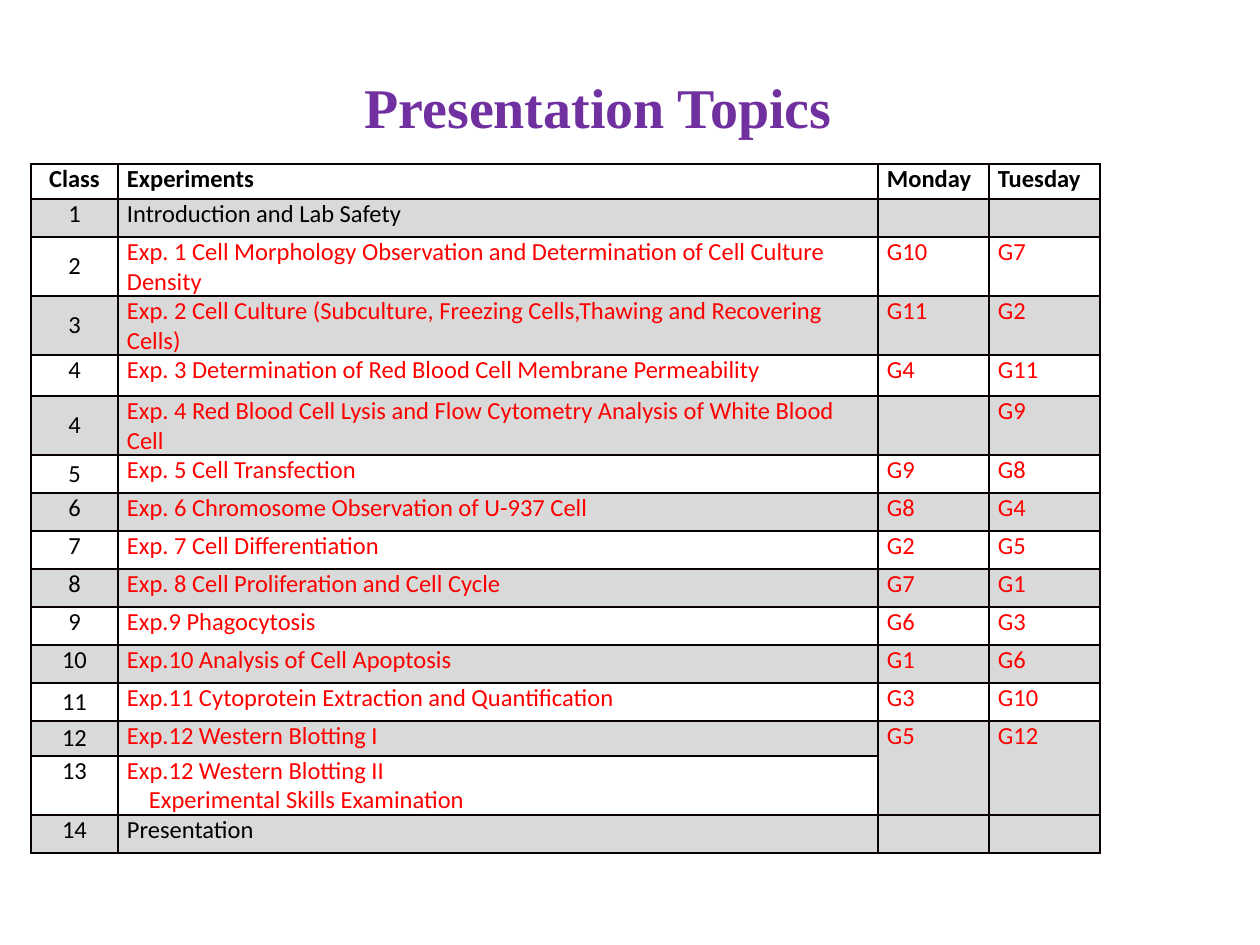
"""Build the presentation topics slide with its class schedule table."""
from dataclasses import dataclass

from lxml import etree
from pptx import Presentation
from pptx.dml.color import RGBColor
from pptx.enum.text import MSO_ANCHOR, PP_ALIGN
from pptx.oxml.ns import qn
from pptx.util import Emu, Pt

CENTER, LEFT = PP_ALIGN.CENTER, PP_ALIGN.LEFT
TOP, MIDDLE = MSO_ANCHOR.TOP, MSO_ANCHOR.MIDDLE
PURPLE = RGBColor(0x70, 0x30, 0xA0)
BLACK = RGBColor(0x00, 0x00, 0x00)
RED = RGBColor(0xFF, 0x00, 0x00)
WHITE = RGBColor(0xFF, 0xFF, 0xFF)
GREY = RGBColor(0xD9, 0xD9, 0xD9)
BORDER = RGBColor(0x08, 0x00, 0x00)
PIXELS_PER_INCH = 126
COLUMN_WIDTHS = (87, 760, 111, 111)
CELL_INSET = 9
SECOND_LINE_INDENT = 22


@dataclass(frozen=True)
class Session:
    """One table row: its texts, height, text colour and number anchor."""
    number: str
    topic: str
    monday: str = ""
    tuesday: str = ""
    height: int = 38
    color: RGBColor = RED
    anchor: MSO_ANCHOR = TOP
    bold: bool = False


SESSIONS = (
    Session("Class", "Experiments", "Monday", "Tuesday", 35, BLACK, bold=True),
    Session("1", "Introduction and Lab Safety", color=BLACK),
    Session("2", "Exp. 1 Cell Morphology Observation and Determination of Cell Culture Density",
            "G10", "G7", 59, anchor=MIDDLE),
    Session("3", "Exp. 2 Cell Culture (Subculture, Freezing Cells,Thawing and Recovering Cells)",
            "G11", "G2", 59, anchor=MIDDLE),
    Session("4", "Exp. 3 Determination of Red Blood Cell Membrane Permeability", "G4", "G11", 41),
    Session("4", "Exp. 4 Red Blood Cell Lysis and Flow Cytometry Analysis of White Blood Cell",
            "", "G9", 59, anchor=MIDDLE),
    Session("5", "Exp. 5 Cell Transfection", "G9", "G8", anchor=MIDDLE),
    Session("6", "Exp. 6 Chromosome Observation of U-937 Cell", "G8", "G4"),
    Session("7", "Exp. 7 Cell Differentiation", "G2", "G5"),
    Session("8", "Exp. 8 Cell Proliferation and Cell Cycle", "G7", "G1"),
    Session("9", "Exp.9 Phagocytosis", "G6", "G3"),
    Session("10", "Exp.10 Analysis of Cell Apoptosis", "G1", "G6"),
    Session("11", "Exp.11 Cytoprotein Extraction and Quantification", "G3", "G10", anchor=MIDDLE),
    Session("12", "Exp.12 Western Blotting I", "G5", "G12", 35, anchor=MIDDLE),
    Session("13", "Exp.12 Western Blotting II\nExperimental Skills Examination", height=59),
    Session("14", "Presentation", color=BLACK),
)
MERGED_ROW = 13


def px(length: int) -> Emu:
    """Turn pixels into EMU."""
    return Emu(round(length * 914400 / PIXELS_PER_INCH))


def add_span(para, text: str, font: str, size: int, color: RGBColor, bold: bool) -> None:
    """Add one formatted run to a paragraph."""
    span = para.add_run()
    span.text = text
    span.font.name = font
    span.font.size = Pt(size)
    span.font.bold = bold
    span.font.color.rgb = color


def add_borders(cell) -> None:
    """Draw a one-point line on all four sides of a cell."""
    properties = cell._tc.get_or_add_tcPr()
    for index, side in enumerate(("a:lnL", "a:lnR", "a:lnT", "a:lnB")):
        line = etree.Element(qn(side), w=str(Pt(1)))
        fill = etree.SubElement(line, qn("a:solidFill"))
        etree.SubElement(fill, qn("a:srgbClr"), val=str(BORDER))
        properties.insert(index, line)


def fill_cell(cell, text: str, session: Session, fill: RGBColor, is_number: bool) -> None:
    """Style a cell and write its lines."""
    cell.fill.solid()
    cell.fill.fore_color.rgb = fill
    cell.margin_left = cell.margin_right = px(CELL_INSET)
    cell.margin_top = cell.margin_bottom = 0
    cell.vertical_anchor = session.anchor if is_number else TOP
    add_borders(cell)
    color = BLACK if is_number else session.color
    for index, line in enumerate(text.split("\n") if text else ()):
        para = cell.text_frame.add_paragraph() if index else cell.text_frame.paragraphs[0]
        para.alignment = CENTER if is_number else LEFT
        if index:
            para._p.get_or_add_pPr().set("marL", str(px(SECOND_LINE_INDENT)))
        add_span(para, line, "Calibri", 14, color, session.bold)


def add_title(page) -> None:
    """Add the slide heading."""
    box = page.shapes.add_textbox(px(352), px(66), px(556), px(81))
    box.text_frame.word_wrap = False
    para = box.text_frame.paragraphs[0]
    add_span(para, "Presentation Topics", "Times New Roman", 32, PURPLE, True)


def add_schedule(page) -> None:
    """Add the table of sessions with alternating row fills."""
    height = sum(session.height for session in SESSIONS)
    table = page.shapes.add_table(len(SESSIONS), len(COLUMN_WIDTHS), px(31), px(164),
                                  px(sum(COLUMN_WIDTHS)), px(height)).table
    table.first_row = table.horz_banding = False
    for column, width in zip(table.columns, COLUMN_WIDTHS):
        column.width = px(width)
    for row, session in enumerate(SESSIONS):
        table.rows[row].height = px(session.height)
        texts = (session.number, session.topic, session.monday, session.tuesday)
        for column, text in enumerate(texts):
            fill = GREY if row % 2 else WHITE
            fill_cell(table.cell(row, column), text, session, fill, column == 0)
    for column in (2, 3):
        table.cell(MERGED_ROW, column).merge(table.cell(MERGED_ROW + 1, column))


def main() -> None:
    """Create the deck and save it."""
    deck = Presentation()
    deck.slide_width, deck.slide_height = px(1260), px(945)
    page = deck.slides.add_slide(deck.slide_layouts[6])
    add_title(page)
    add_schedule(page)
    deck.save("out.pptx")


if __name__ == "__main__":
    main()
